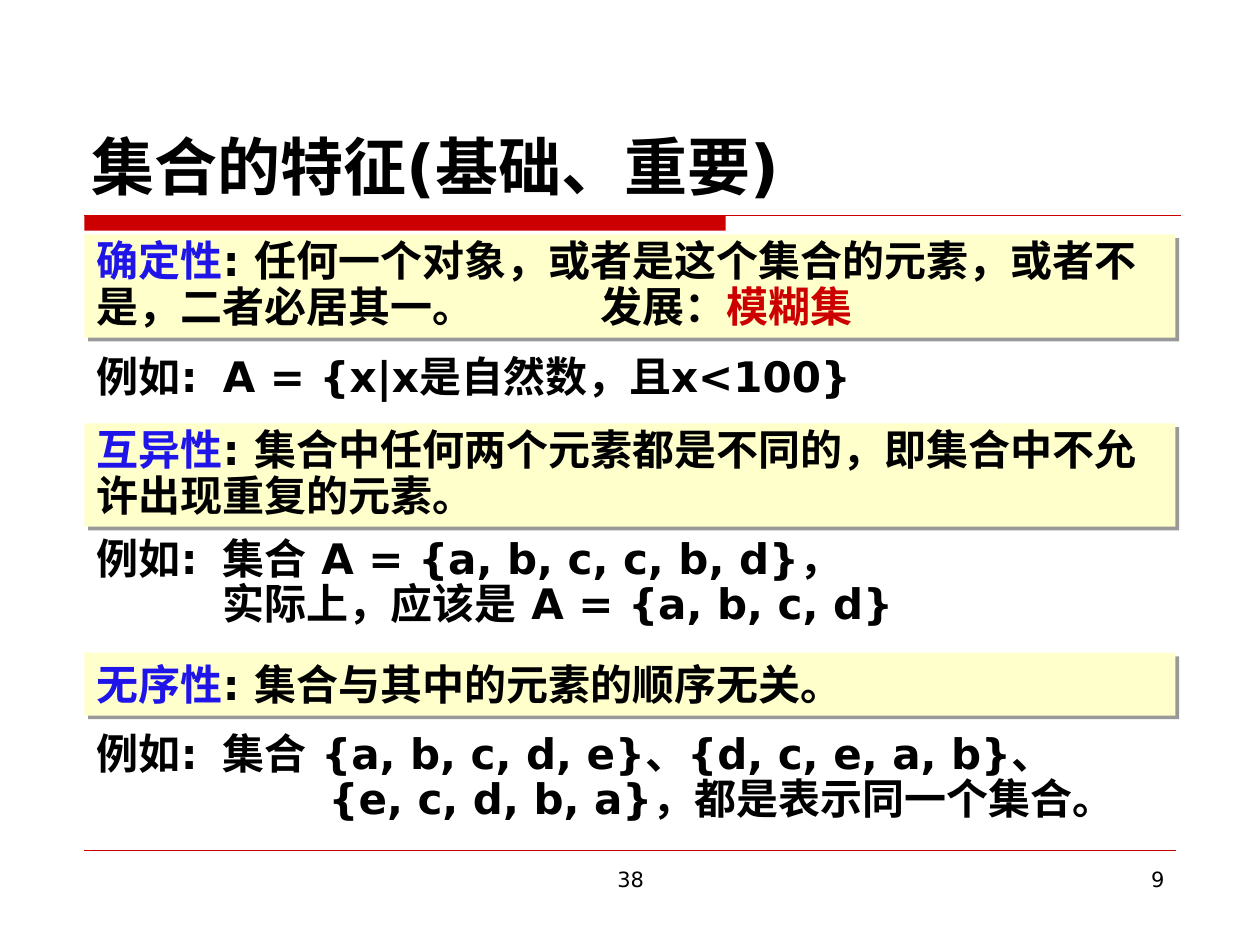
"""Build a slide on the three properties of a set."""
from dataclasses import dataclass

from lxml import etree
from pptx import Presentation
from pptx.dml.color import RGBColor
from pptx.enum import shapes, text
from pptx.oxml import ns, xmlchemy as xc
from pptx.util import Inches, Pt


@dataclass(frozen=True)
class Theme:
    """Hold colours, fonts and type sizes."""
    ink: str = "000000"
    blue: str = "1F15E9"
    red: str = "CC0000"
    cream: str = "FFFFCC"
    font: str = "DejaVu Sans"
    cjk: str = "Noto Sans CJK JP"
    head: int = 36
    body: int = 24
    foot: int = 12


T = Theme()
LEFT, WIDE = 0.67, 8.66


def add_tabs(para, stops):
    """Put left tab stops, in inches, on a paragraph."""
    props = para._p.get_or_add_pPr()
    tabs = etree.SubElement(props, ns.qn("a:tabLst"))
    for stop in stops:
        etree.SubElement(tabs, ns.qn("a:tab"), pos=str(Inches(stop)), algn="l")


def add_run(para, words, size, color=T.ink, bold=True, font=T.font):
    """Add one formatted run."""
    run = para.add_run()
    run.text = words
    run.font.size = Pt(size)
    run.font.bold = bold
    run.font.name = font
    run.font.color.rgb = RGBColor.from_string(color)
    etree.SubElement(run._r.get_or_add_rPr(), ns.qn("a:ea"), typeface=font)


def write(shape, lines, size=T.body, bold=True, space=None, tabs=(),
          align=text.PP_ALIGN.LEFT, anchor=text.MSO_ANCHOR.TOP):
    """Fill a shape with lines, each a list of (words, format) runs."""
    frame = shape.text_frame
    frame.word_wrap = True
    frame.vertical_anchor = anchor
    for i, line in enumerate(lines):
        para = frame.paragraphs[0] if i == 0 else frame.add_paragraph()
        para.alignment = align
        if space:
            para.line_spacing = space
        if tabs:
            add_tabs(para, tabs)
        for words, form in line:
            add_run(para, words, size, bold=bold, **form)


def add_text(slide, box, lines, **form):
    """Add a text box."""
    write(slide.shapes.add_textbox(*map(Inches, box)), lines, **form)


def add_rect(slide, box, color):
    """Add a plain filled rectangle."""
    rect = slide.shapes.add_shape(shapes.MSO_SHAPE.RECTANGLE, *map(Inches, box))
    rect.shadow.inherit = False
    rect.fill.solid()
    rect.fill.fore_color.rgb = RGBColor.from_string(color)
    rect.line.fill.background()
    return rect


def add_rule(slide, top, end, width):
    """Add a horizontal red rule."""
    rule = slide.shapes.add_connector(
        shapes.MSO_CONNECTOR.STRAIGHT, *map(Inches, (LEFT, top, end, top)))
    rule.line.color.rgb = RGBColor.from_string(T.red)
    rule.line.width = Pt(width)
    etree.SubElement(rule._element.spPr, ns.qn("a:effectLst"))


def add_trait(slide, top, high, name, *rest, **form):
    """Add a shadowed panel that defines one property."""
    rect = add_rect(slide, (LEFT, top, WIDE, high), T.cream)
    glow = rect._element.spPr.find(ns.qn("a:effectLst"))
    drop = etree.SubElement(glow, ns.qn("a:outerShdw"), blurRad="0",
                            dist=str(Pt(3)), dir=str(45 * 60000), algn="tl")
    tint = etree.SubElement(drop, ns.qn("a:srgbClr"), val=T.ink)
    etree.SubElement(tint, ns.qn("a:alpha"), val="40000")
    write(rect, [[(name, {"color": T.blue}), *rest]], **form)


def add_case(slide, top, high, *lines, **form):
    """Add an example below a property."""
    add_text(slide, (LEFT, top, WIDE, high),
             [[(line, {})] for line in lines], **form)


def main():
    """Build and save the slide."""
    deck = Presentation()
    deck.slide_width, deck.slide_height = Inches(10), Inches(7.5)
    slide = deck.slides.add_slide(deck.slide_layouts[6])

    add_rect(slide, (LEFT, 1.71, 5.09, 0.12), T.red)
    add_rule(slide, 1.71, 9.37, 0.75)
    add_rule(slide, 6.75, 9.33, 0.25)
    for left, width, words, align in (
            (3.42, 3.17, "38", text.PP_ALIGN.CENTER),
            (7.17, 2.17, "9", text.PP_ALIGN.RIGHT)):
        add_text(slide, (left, 6.83, width, 0.52), [[(words, {})]],
                 size=T.foot, bold=False, align=align)
    add_text(slide, (0.63, 0.33, 8.75, 1.33),
             [[("集合的特征(", {}), ("基础、重要", {"font": T.cjk}), (")", {})]],
             size=T.head, anchor=text.MSO_ANCHOR.BOTTOM)

    add_trait(slide, 1.86, 0.82, "确定性",
              (": 任何一个对象，或者是这个集合的元素，或者不是，二者必居其一。\t发展：", {}),
              ("模糊集", {"color": T.red}), space=0.9, tabs=(4,))
    add_case(slide, 2.73, 0.5, "例如:\tA = {x|x是自然数，且x<100}", tabs=(1,))
    add_trait(slide, 3.36, 0.82, "互异性",
              (": 集合中任何两个元素都是不同的，即集合中不允许出现重复的元素。", {}),
              space=0.9)
    add_case(slide, 4.22, 0.82, "例如:\t集合 A = {a, b, c, c, b, d}，",
             "\t实际上，应该是 A = {a, b, c, d}", space=0.9, tabs=(1,))
    add_trait(slide, 5.18, 0.5, "无序性", (": 集合与其中的元素的顺序无关。", {}))
    add_case(slide, 5.77, 0.82, "例如:\t集合 {a, b, c, d, e}、{d, c, e, a, b}、",
             "\t\t{e, c, d, b, a}，都是表示同一个集合。",
             space=0.9, tabs=(1, 1.84))
    deck.save("out.pptx")


if __name__ == "__main__":
    main()
